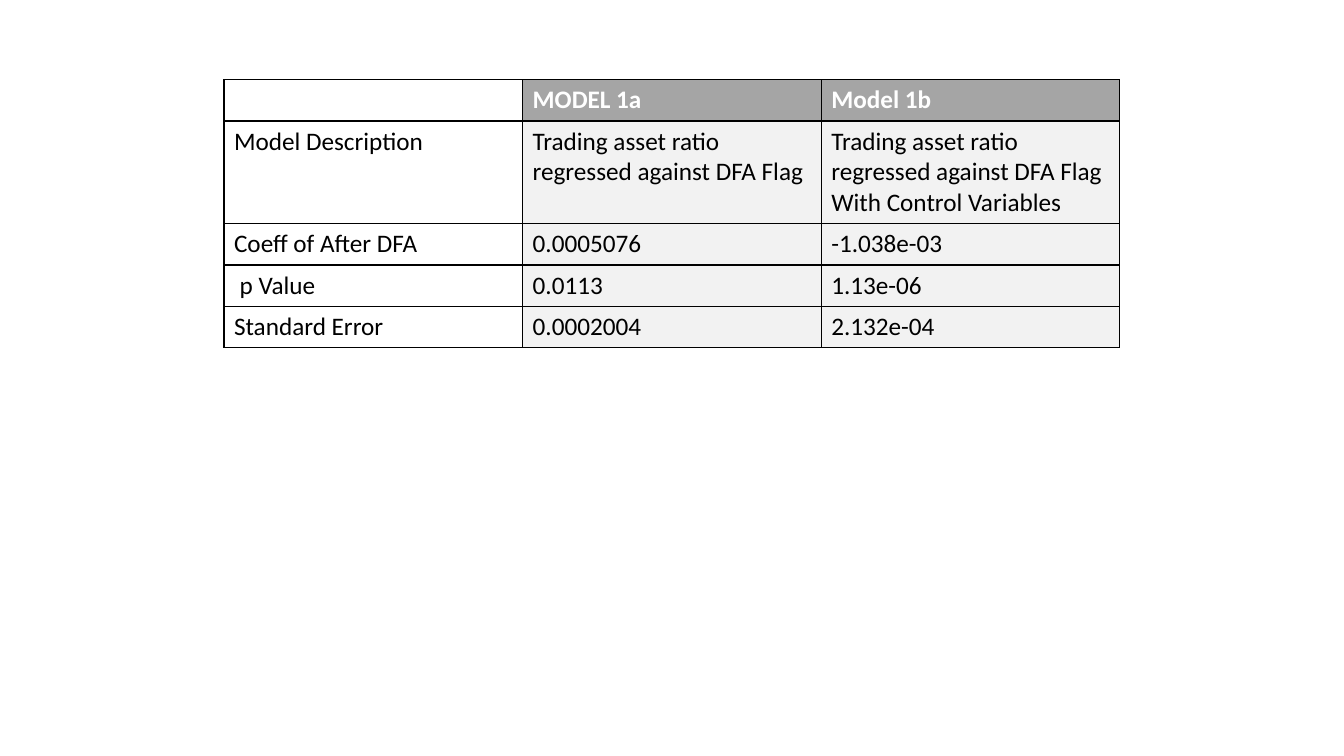
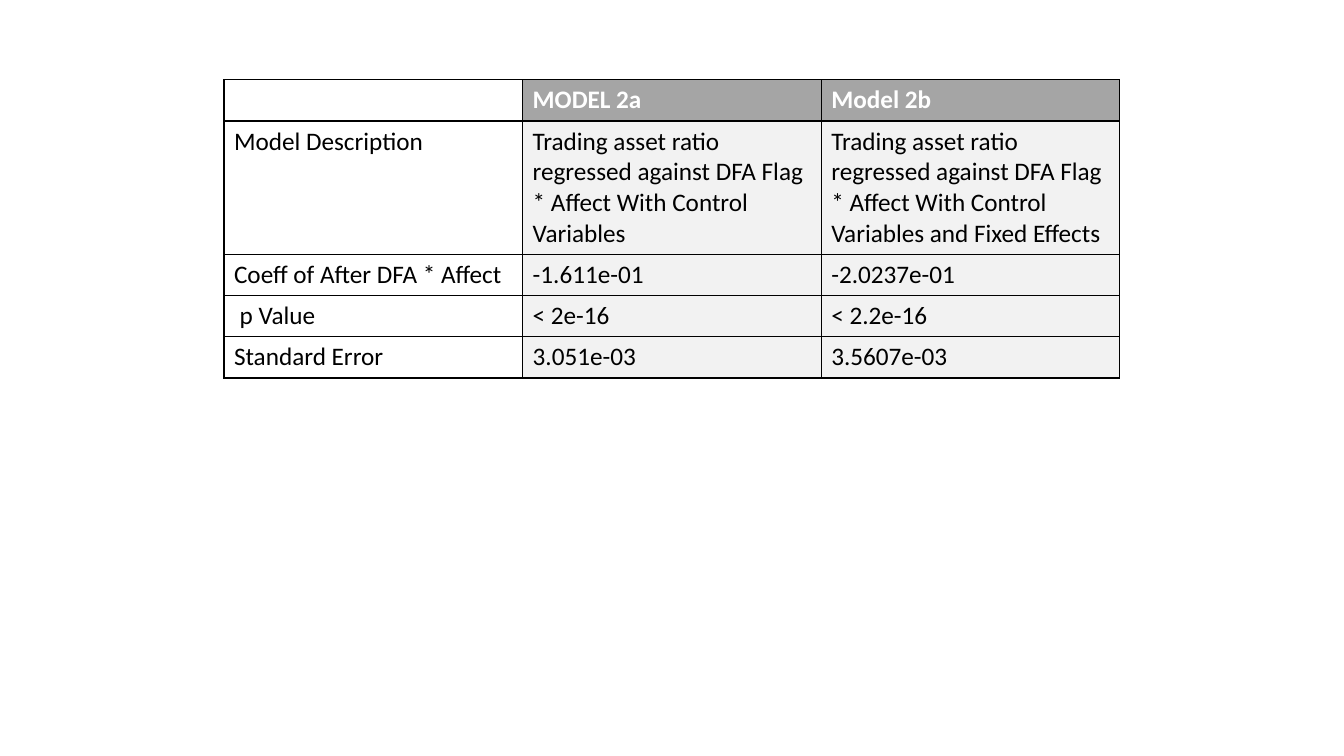
"""Build two slides, each with a table comparing regression models."""
from lxml import etree
from pptx import Presentation
from pptx import util as u
from pptx.dml.color import RGBColor
from pptx.oxml import ns

WHITE = RGBColor(0xFF, 0xFF, 0xFF)
BLACK = RGBColor(0x00, 0x00, 0x00)
HEADER_GRAY = RGBColor(0xA5, 0xA5, 0xA5)
BODY_GRAY = RGBColor(0xF2, 0xF2, 0xF2)

FONT = "Calibri"
FONT_SIZE = u.Pt(18)
BORDER_WIDTH = u.Pt(1)
ROW_HEIGHT = u.Inches(0.41)

MODEL_TABLES = [
    (1.02, [
        ["", "MODEL 1a", "Model 1b"],
        ["Model Description",
         "Trading asset ratio regressed against DFA Flag",
         "Trading asset ratio regressed against DFA Flag\nWith Control Variables "],
        ["Coeff of After DFA", "0.0005076", "-1.038e-03"],
        [" p Value", "0.0113", "1.13e-06"],
        ["Standard Error", "0.0002004", "2.132e-04"],
    ]),
    (1.32, [
        ["", "MODEL 2a", "Model 2b"],
        ["Model Description",
         "Trading asset ratio regressed against DFA Flag * Affect With Control Variables ",
         "Trading asset ratio regressed against DFA Flag * Affect With Control "
         "Variables and Fixed Effects"],
        ["Coeff of After DFA * Affect", "-1.611e-01", "-2.0237e-01"],
        [" p Value", "< 2e-16", "< 2.2e-16"],
        ["Standard Error", "3.051e-03", "3.5607e-03"],
    ]),
]


def format_cell(cell, content, *, fill, color, bold):
    cell.fill.solid()
    cell.fill.fore_color.rgb = fill
    cell.text = content
    for paragraph in cell.text_frame.paragraphs:
        paragraph.font.size = FONT_SIZE
        for run in paragraph.runs:
            run.font.name = FONT
            run.font.size = FONT_SIZE
            run.font.color.rgb = color
            run.font.bold = bold
    properties = cell._tc.get_or_add_tcPr()
    for position, side in enumerate(("lnL", "lnR", "lnT", "lnB")):
        border = etree.Element(ns.qn(f"a:{side}"), w=str(BORDER_WIDTH))
        border_fill = etree.SubElement(border, ns.qn("a:solidFill"))
        etree.SubElement(border_fill, ns.qn("a:srgbClr"), val=str(BLACK))
        properties.insert(position, border)


presentation = Presentation()
presentation.slide_width = u.Inches(13.333)
presentation.slide_height = u.Inches(7.5)
blank_layout = presentation.slide_layouts[6]

table_width = presentation.slide_width * 2 // 3
table_left = (presentation.slide_width - table_width) // 2
table_top = u.Inches(0.79)

for description_height, rows in MODEL_TABLES:
    slide = presentation.slides.add_slide(blank_layout)
    table_height = ROW_HEIGHT * (len(rows) - 1) + u.Inches(description_height)
    table = slide.shapes.add_table(
        len(rows), len(rows[0]), table_left, table_top, table_width, table_height
    ).table
    for row in table.rows:
        row.height = ROW_HEIGHT
    table.rows[1].height = u.Inches(description_height)

    for row_index, row_texts in enumerate(rows):
        is_header = row_index == 0
        for column_index, content in enumerate(row_texts):
            model_fill = HEADER_GRAY if is_header else BODY_GRAY
            format_cell(
                table.cell(row_index, column_index), content,
                fill=WHITE if column_index == 0 else model_fill,
                color=WHITE if is_header else BLACK,
                bold=is_header,
            )

presentation.save("out.pptx")
